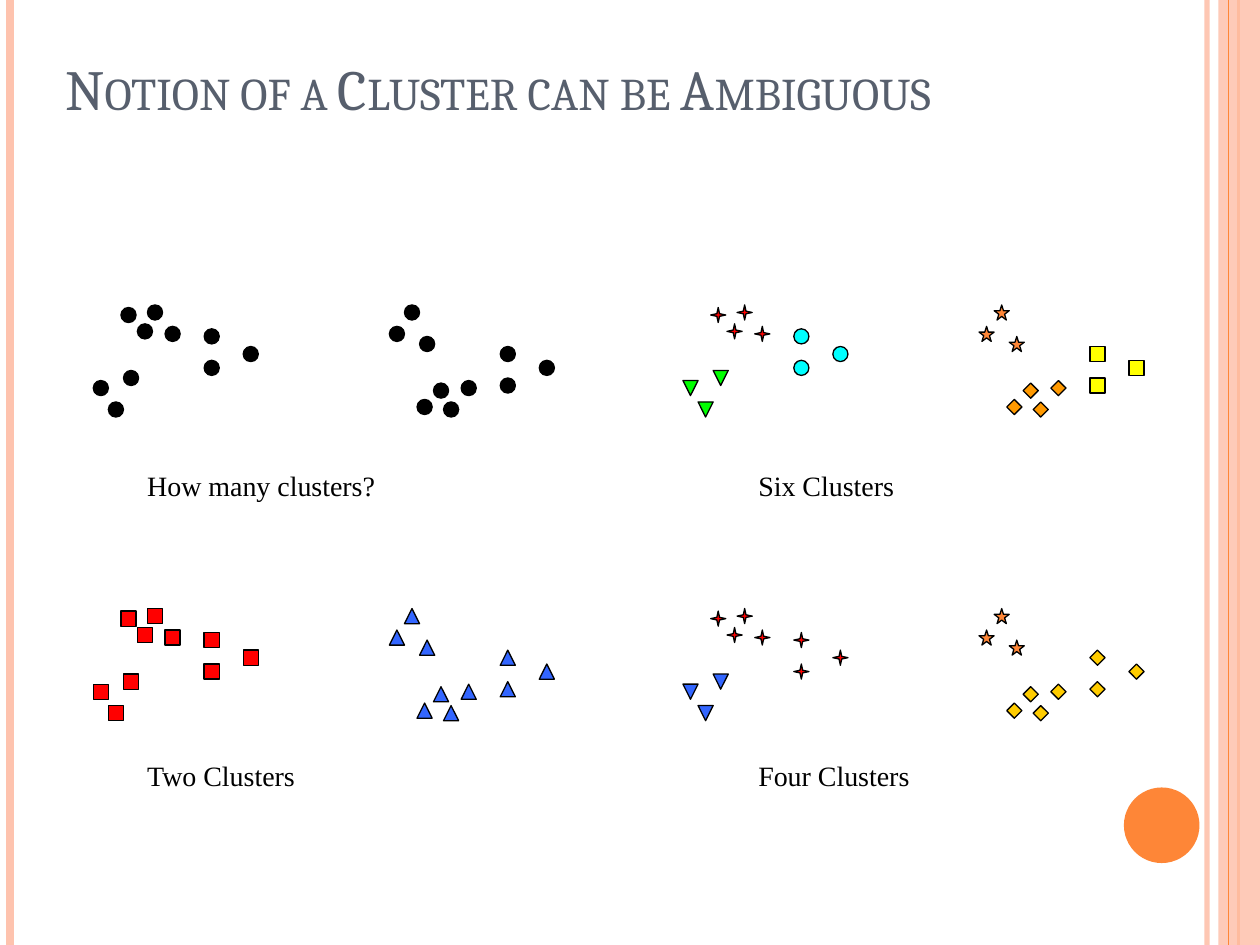
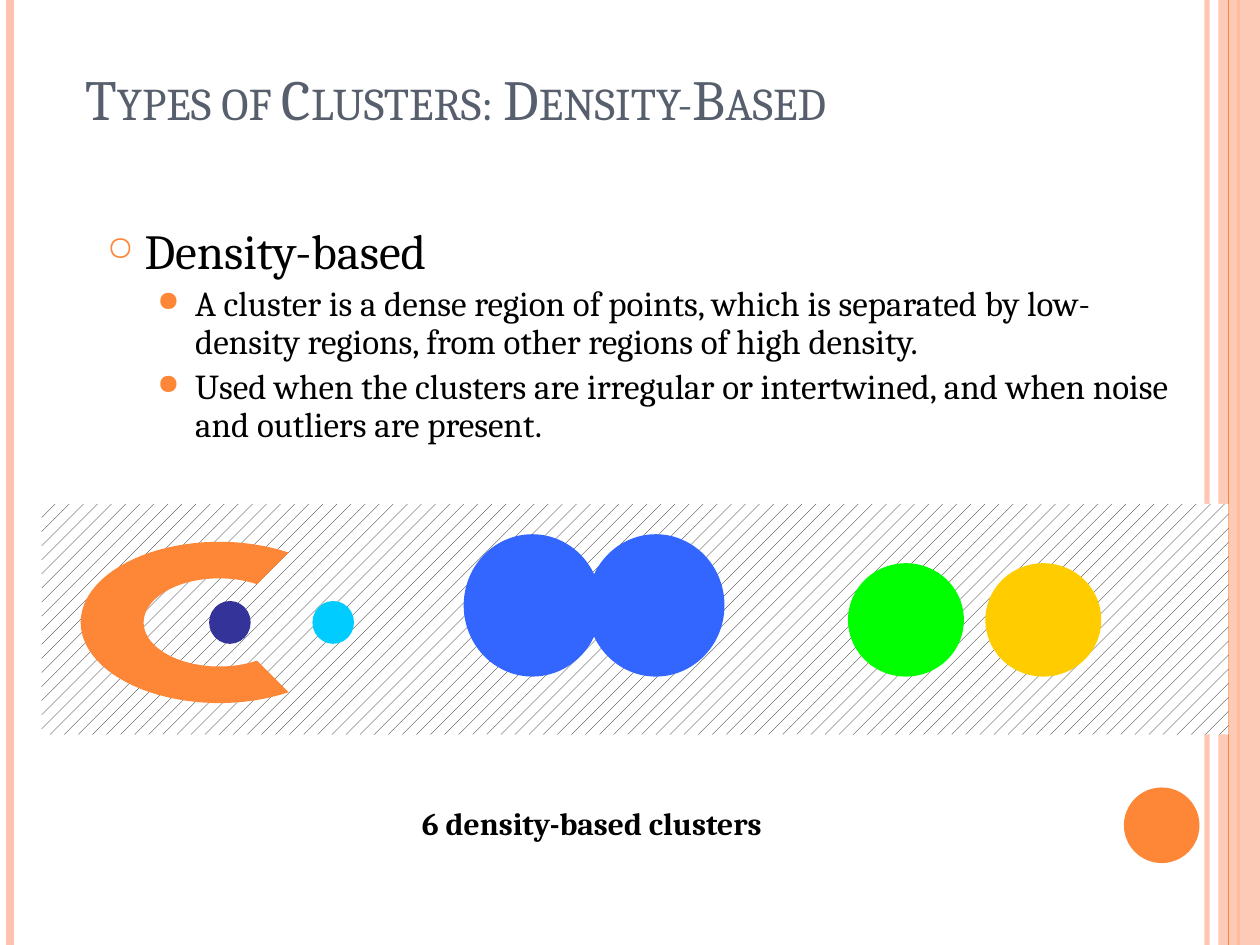
from dataclasses import dataclass
from math import cos, radians, sin

from pptx import Presentation
from pptx.dml.color import RGBColor
from pptx.enum.dml import MSO_PATTERN
from pptx.enum.shapes import MSO_CONNECTOR, MSO_SHAPE
from pptx.enum.text import MSO_ANCHOR
from pptx.oxml.ns import qn
from pptx.oxml.xmlchemy import OxmlElement
from pptx.util import Inches, Pt


@dataclass(frozen=True)
class Theme:
    heading_font: str = "Cambria"
    label_font: str = "Times New Roman"
    title_size: float = 32.4
    topic_size: float = 28
    point_size: float = 20
    caption_size: float = 18
    label_size: float = 16
    slate: str = "575F6D"
    black: str = "000000"
    white: str = "FFFFFF"
    peach: str = "FEC3AE"
    orange: str = "FE8637"
    red: str = "FF0000"
    blue: str = "3366FF"
    green: str = "00FF00"
    cyan: str = "00FFFF"
    yellow: str = "FFFF00"
    amber: str = "FF9900"
    gold: str = "FFCC00"
    navy: str = "333399"
    sky: str = "00CCFF"


THEME = Theme()
SLIDE_WIDTH, SLIDE_HEIGHT = 10, 7.5

# Scatter offsets: four points, then three, then three; the left cloud is its mirror
CLOUD = (
    ((0.57, 0.60), (0.22, 0.75), (0.43, 0.77), (0.35, 0.62)),
    ((0.24, 0.25), (0.00, 0.17), (0.12, 0.00)),
    ((0.88, 0.58), (1.19, 0.44), (0.88, 0.33)),
)
CLOUD_DROP = 0.77
CLOUD_GAP = 2.35
MARKER_SIZE = 0.12

DOT = (MSO_SHAPE.OVAL, THEME.black)
RED_SQUARE = (MSO_SHAPE.RECTANGLE, THEME.red)
BLUE_TRIANGLE = (MSO_SHAPE.ISOSCELES_TRIANGLE, THEME.blue)
SPARK = (MSO_SHAPE.STAR_4_POINT, THEME.red)
STAR = (MSO_SHAPE.STAR_5_POINT, THEME.orange)
GOLD_DIAMOND = (MSO_SHAPE.DIAMOND, THEME.gold)

# Panel corner, label box corner, label, left markers, right markers
PANELS = (
    ((0.74, 2.42), (1.07, 3.67), "How many clusters?", (DOT,) * 3, (DOT,) * 3),
    ((5.42, 4.83), (5.92, 5.97), "Four Clusters",
     (SPARK, (MSO_SHAPE.FLOWCHART_EXTRACT, THEME.blue), SPARK),
     (GOLD_DIAMOND, STAR, GOLD_DIAMOND)),
    ((0.74, 4.83), (1.07, 5.97), "Two Clusters",
     (RED_SQUARE,) * 3, (BLUE_TRIANGLE,) * 3),
    ((5.42, 2.42), (5.92, 3.67), "Six Clusters",
     (SPARK, (MSO_SHAPE.ISOSCELES_TRIANGLE, THEME.green),
      (MSO_SHAPE.OVAL, THEME.cyan)),
     ((MSO_SHAPE.DIAMOND, THEME.amber), STAR,
      (MSO_SHAPE.RECTANGLE, THEME.yellow))),
)


def rgb(value):
    return RGBColor.from_string(value)


def set_opacity(shape, percent):
    for color in shape._element.spPr.iter(qn("a:srgbClr")):
        alpha = OxmlElement("a:alpha")
        alpha.set("val", str(percent * 1000))
        color.append(alpha)


def paint(shape, fill, outline=None):
    shape.shadow.inherit = False
    shape.fill.solid()
    shape.fill.fore_color.rgb = rgb(fill)
    if outline:
        shape.line.color.rgb = rgb(outline)
        shape.line.width = Pt(0.75)
    else:
        shape.line.fill.background()
    return shape


def add_shape(shapes, kind, box, fill, outline=None):
    shape = shapes.add_shape(kind, *map(Inches, box))
    return paint(shape, fill, outline)


def add_rule(page, x, color, width, opacity=100):
    rule = page.shapes.add_connector(
        MSO_CONNECTOR.STRAIGHT, Inches(x), 0, Inches(x), Inches(SLIDE_HEIGHT))
    rule.line.color.rgb = rgb(color)
    rule.line.width = Pt(width)
    rule._element.spPr.append(OxmlElement("a:effectLst"))
    if opacity < 100:
        set_opacity(rule, opacity)


def write(para, text, size, font=THEME.heading_font, color=THEME.black, **formats):
    span = para.add_run()
    span.text = text
    span.font.color.rgb = rgb(color)
    for name, value in {"size": Pt(size), "name": font, **formats}.items():
        setattr(span.font, name, value)
    return span


def add_frame(shapes, box):
    frame = shapes.add_textbox(*map(Inches, box)).text_frame
    frame.word_wrap = True
    return frame


# Decoration and title shared by both slides
def add_page(deck, title, left, top):
    page = deck.slides.add_slide(deck.slide_layouts[6])
    add_rule(page, 9.58, THEME.peach, 3, 93)
    add_rule(page, 0.08, THEME.peach, 4.5)
    add_rule(page, 9.83, THEME.orange, 1.5)
    band = add_shape(page.shapes, MSO_SHAPE.RECTANGLE,
                     (9.67, 0, 0.33, SLIDE_HEIGHT), THEME.peach)
    set_opacity(band, 87)
    add_rule(page, 9.75, THEME.orange, 0.75)
    add_shape(page.shapes, MSO_SHAPE.OVAL, (8.92, 6.25, 0.6, 0.6), THEME.orange)

    frame = add_frame(page.shapes, (left, top, 9.06, 0.6))
    frame.vertical_anchor = MSO_ANCHOR.BOTTOM
    span = write(frame.paragraphs[0], title, THEME.title_size, color=THEME.slate)
    span._r.get_or_add_rPr().set("cap", "small")
    return page


# One cloud of ten markers, optionally mirrored top to bottom
def add_cloud(shapes, left, top, markers, mirrored):
    for (kind, fill), points in zip(markers, CLOUD):
        for dx, dy in points:
            y = top + (CLOUD_DROP - dy if mirrored else dy)
            marker = add_shape(shapes, kind, (left + dx, y, MARKER_SIZE, MARKER_SIZE),
                               fill, THEME.black)
            if kind == MSO_SHAPE.STAR_4_POINT:
                marker.adjustments[0] = 0.125
            if mirrored:
                marker._element.spPr.find(qn("a:xfrm")).set("flipV", "1")


# Two clouds with a label below
def add_panel(page, corner, label_corner, label, left_markers, right_markers):
    shapes = page.shapes.add_group_shape().shapes
    left, top = corner
    add_cloud(shapes, left + CLOUD_GAP, top, right_markers, False)
    add_cloud(shapes, left, top, left_markers, True)
    frame = add_frame(shapes, (*label_corner, 2.5, 0.37))
    write(frame.paragraphs[0], label, THEME.label_size, THEME.label_font)


def add_bullet(para, char, percent, margin):
    properties = para._p.get_or_add_pPr()
    properties.set("marL", str(Inches(margin)))
    properties.set("indent", str(Inches(-0.3)))
    color = OxmlElement("a:buClr")
    value = OxmlElement("a:srgbClr")
    value.set("val", THEME.orange)
    color.append(value)
    size = OxmlElement("a:buSzPct")
    size.set("val", str(percent * 1000))
    bullet = OxmlElement("a:buChar")
    bullet.set("char", char)
    for part in (color, size, bullet):
        properties.append(part)


# Topic with its explanatory points
def add_body(page, box, topic, points):
    frame = add_frame(page.shapes, box)
    rows = [(topic, THEME.topic_size, 0, 6, "○", 70, 0.3)]
    rows += [(point, THEME.point_size, 1, 4, "●", 80, 0.7) for point in points]
    for index, (text, size, level, before, char, percent, margin) in enumerate(rows):
        para = frame.add_paragraph() if index else frame.paragraphs[0]
        formats = {"level": level, "line_spacing": 0.9, "space_before": Pt(before)}
        for name, value in formats.items():
            setattr(para, name, value)
        add_bullet(para, char, percent, margin)
        write(para, text, size)


# Crescent between two elliptical arcs, open to the right
def add_crescent(shapes, center_x, center_y, outer, inner):
    angles = range(60, 301, 4)
    points = [
        (Inches(center_x + rx * cos(radians(angle))),
         Inches(center_y - ry * sin(radians(angle))))
        for (rx, ry), sweep in ((outer, angles), (inner, reversed(angles)))
        for angle in sweep
    ]
    builder = shapes.build_freeform(*points[0])
    builder.add_line_segments(points[1:], close=True)
    paint(builder.convert_to_shape(), THEME.orange)


# Noise field holding six dense regions
def add_density_field(page, left, top, width, height):
    shapes = page.shapes.add_group_shape().shapes
    field = add_shape(shapes, MSO_SHAPE.RECTANGLE, (left, top, width, height),
                      THEME.white)
    field.fill.patterned()
    field.fill.pattern = MSO_PATTERN.PERCENT_10
    field.fill.fore_color.rgb = rgb(THEME.black)
    field.fill.back_color.rgb = rgb(THEME.white)

    add_crescent(shapes, left + 1.41, top + 0.94, (1.1, 0.64), (0.6, 0.35))
    regions = (
        (1.33, 0.77, 0.33, 0.34, THEME.navy),
        (2.15, 0.77, 0.33, 0.34, THEME.sky),
        (6.40, 0.47, 0.92, 0.90, THEME.green),
        (7.49, 0.47, 0.92, 0.90, THEME.gold),
        (3.35, 0.24, 1.09, 1.13, THEME.blue),
        (4.33, 0.24, 1.09, 1.13, THEME.blue),
    )
    for dx, dy, region_width, region_height, fill in regions:
        add_shape(shapes, MSO_SHAPE.OVAL,
                  (left + dx, top + dy, region_width, region_height), fill)


def build_ambiguity_slide(deck):
    page = add_page(deck, "Notion of a Cluster can be Ambiguous", 0.42, 0.42)
    for panel in PANELS:
        add_panel(page, *panel)


def build_density_slide(deck):
    page = add_page(deck, "Types of Clusters: Density-Based", 0.58, 0.5)
    add_body(page, (0.75, 1.75, 8.66, 4.88), "Density-based", (
        "A cluster is a dense region of points, which is separated by "
        "low-density regions, from other regions of high density.",
        "Used when the clusters are irregular or intertwined, and when noise "
        "and outliers are present.",
    ))
    add_density_field(page, 0.33, 4, 9.42, 1.83)
    caption = add_frame(page.shapes, (3.25, 6.33, 3.5, 0.4))
    write(caption.paragraphs[0], "6 density-based clusters", THEME.caption_size,
          bold=True)


def main():
    deck = Presentation()
    deck.slide_width = Inches(SLIDE_WIDTH)
    deck.slide_height = Inches(SLIDE_HEIGHT)
    build_ambiguity_slide(deck)
    build_density_slide(deck)
    deck.save("out.pptx")


if __name__ == "__main__":
    main()
